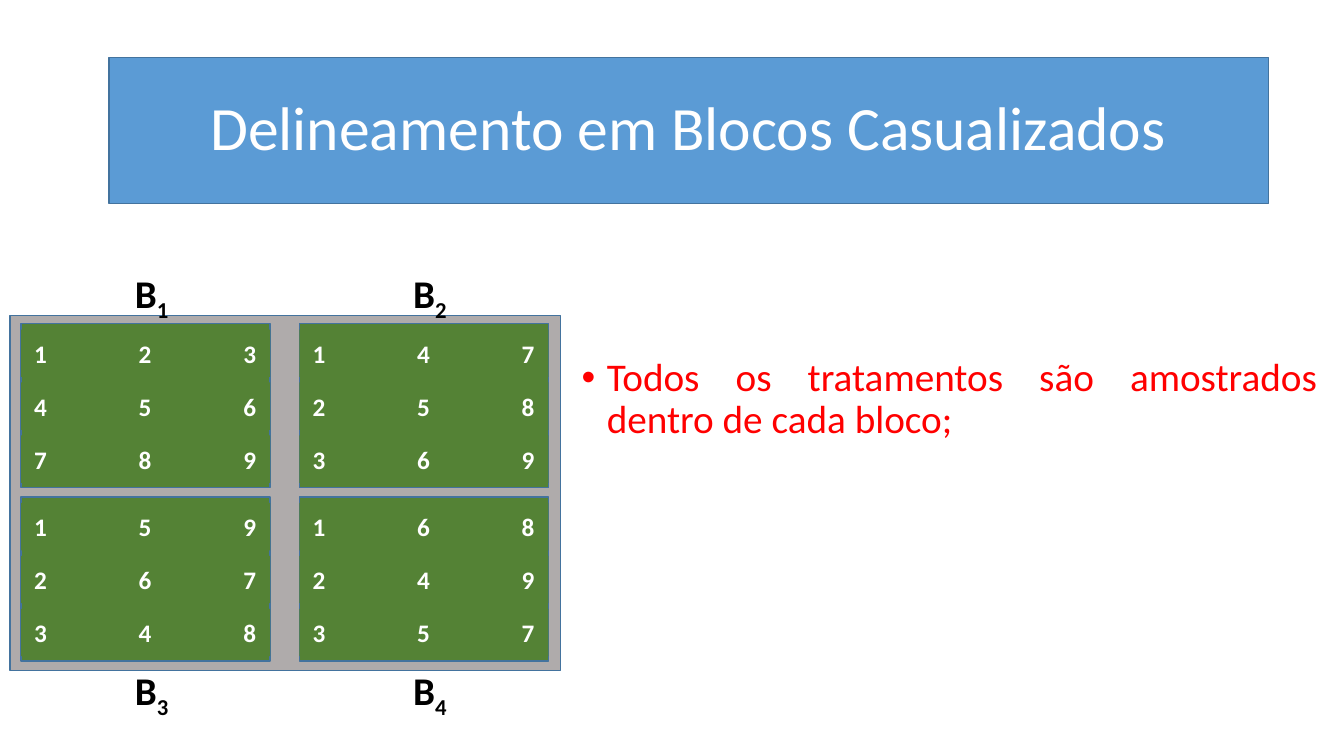
"""Build a slide on randomized block designs."""
import pptx
import pptx.util
import pptx.dml.color
import pptx.enum.shapes
import pptx.enum.text
import pptx.oxml
import pptx.oxml.ns

TITLE = "Delineamento em Blocos Casualizados"
POINT = "Todos os tratamentos são amostrados dentro de cada bloco;"
BLOCKS = [
    ("1", ["123", "456", "789"]),
    ("2", ["147", "258", "369"]),
    ("3", ["159", "267", "348"]),
    ("4", ["168", "249", "357"]),
]
GREEN, GRAY, BLUE, EDGE = "548235", "AFABAB", "5B9BD5", "43739E"
WHITE, BLACK, RED = "FFFFFF", "000000", "FF0000"
LEFT, TOP = 0.21, 3.21
WIDE, HIGH = 2.47, 1.63
STEP_X, STEP_Y = 2.76, 1.72
ROW_TOP, ROW_STEP, ROW_HIGH = 0.06, 0.525, 0.47
PAD, MID, END = 0.13, 1.1, 2.2
LABEL_X, LABEL_Y = 1.03, (2.62, 6.56)

Inches = pptx.util.Inches
Pt = pptx.util.Pt
ALIGN = pptx.enum.text.PP_ALIGN
ANCHOR = pptx.enum.text.MSO_ANCHOR

deck = pptx.Presentation()
deck.slide_width, deck.slide_height = Inches(13.33), Inches(7.5)
slide = deck.slides.add_slide(deck.slide_layouts[6])


def color(code):
    return pptx.dml.color.RGBColor.from_string(code)


def rect(x, y, w, h, fill, edge=None):
    box = slide.shapes.add_shape(
        pptx.enum.shapes.MSO_SHAPE.RECTANGLE,
        Inches(x), Inches(y), Inches(w), Inches(h))
    box.shadow.inherit = False
    box.fill.solid()
    box.fill.fore_color.rgb = color(fill)
    if edge:
        box.line.color.rgb = color(edge)
        box.line.width = Pt(1)
    else:
        box.line.fill.background()
    return box


def note(x, y, w, h):
    box = slide.shapes.add_textbox(Inches(x), Inches(y), Inches(w), Inches(h))
    box.text_frame.word_wrap = True
    return box


def style(para, size, code, bold=False):
    for run in para.runs:
        run.font.name = "Calibri"
        run.font.size = Pt(size)
        run.font.bold = bold
        run.font.color.rgb = color(code)


def add(para, tag, **attrs):
    props = para._p.get_or_add_pPr()
    node = pptx.oxml.parse_xml(f"<a:{tag} {pptx.oxml.ns.nsdecls('a')}/>")
    for key, value in attrs.items():
        node.set(key, str(value))
    props.append(node)
    return node


def write(box, text, size, code, align, bold=False):
    para = box.text_frame.paragraphs[0]
    para.text = text
    para.alignment = align
    style(para, size, code, bold)
    return para


def plot(x, y, rows):
    rect(x, y, WIDE, HIGH, GREEN, EDGE)
    for i, row in enumerate(rows):
        box = rect(x, y + ROW_TOP + i * ROW_STEP, WIDE, ROW_HIGH, GREEN)
        box.text_frame.margin_left = Inches(PAD)
        box.text_frame.vertical_anchor = ANCHOR.MIDDLE
        para = write(box, "\t".join(row), 18, WHITE, ALIGN.LEFT, True)
        tabs = add(para, "tabLst")
        for stop, kind in ((MID, "ctr"), (END, "r")):
            tab = pptx.oxml.parse_xml(f"<a:tab {pptx.oxml.ns.nsdecls('a')}/>")
            tab.set("pos", str(Inches(stop)))
            tab.set("algn", kind)
            tabs.append(tab)


def label(x, y, name):
    box = note(x, y, 0.6, 0.57)
    para = box.text_frame.paragraphs[0]
    para.text = "B"
    sub = para.add_run()
    sub.text = name
    style(para, 28, BLACK, True)
    sub._r.get_or_add_rPr().set("baseline", "-25000")


def main():
    rect(0.1, 3.13, 5.46, 3.52, GRAY, EDGE)
    for i, (name, rows) in enumerate(BLOCKS):
        line, col = divmod(i, 2)
        x = LEFT + col * STEP_X
        plot(x, TOP + line * STEP_Y, rows)
        label(x + LABEL_X, LABEL_Y[line], name)

    head = rect(1.08, 0.57, 11.5, 1.45, BLUE, EDGE)
    head.text_frame.word_wrap = True
    head.text_frame.vertical_anchor = ANCHOR.MIDDLE
    write(head, TITLE, 44, WHITE, ALIGN.CENTER).line_spacing = 0.9

    body = note(5.67, 3.5, 7.49, 0.78)
    para = write(body, POINT, 28, RED, ALIGN.JUSTIFY)
    para.line_spacing = 0.9
    props = para._p.get_or_add_pPr()
    props.set("marL", str(Inches(0.25)))
    props.set("indent", str(Inches(-0.25)))
    add(para, "buFont", typeface="Arial")
    add(para, "buChar", char="•")

    deck.save("out.pptx")


if __name__ == "__main__":
    main()
